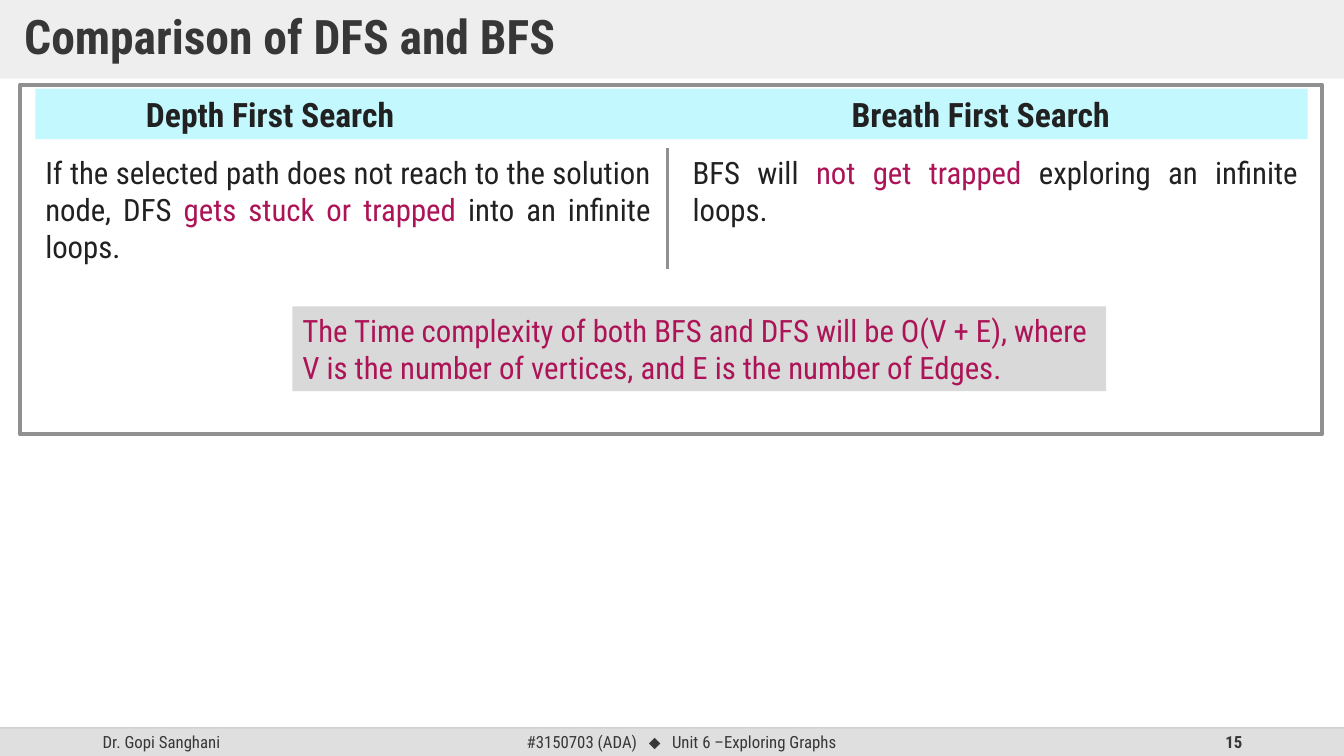
from pptx import Presentation
from pptx.dml.color import RGBColor
from pptx.enum.shapes import MSO_CONNECTOR, MSO_SHAPE
from pptx.enum.text import MSO_ANCHOR, PP_ALIGN
from pptx.oxml.ns import qn
from pptx.util import Inches, Pt
from lxml import etree

RECT = MSO_SHAPE.RECTANGLE
STRAIGHT = MSO_CONNECTOR.STRAIGHT
TOP, MIDDLE = MSO_ANCHOR.TOP, MSO_ANCHOR.MIDDLE
LEFT, CENTER, RIGHT, JUSTIFY = (
    PP_ALIGN.LEFT, PP_ALIGN.CENTER, PP_ALIGN.RIGHT, PP_ALIGN.JUSTIFY)

SLIDE_W, SLIDE_H = 13.33, 7.5
FONT, SYMBOL_FONT = "Roboto Condensed", "Arial"

INK = RGBColor(0x21, 0x21, 0x21)
TITLE_INK = RGBColor(0x37, 0x37, 0x37)
ACCENT = RGBColor(0xAD, 0x14, 0x57)
BAR = RGBColor(0xDF, 0xDF, 0xDF)
BAR_EDGE = RGBColor(0xBF, 0xBF, 0xBF)
FRAME = RGBColor(0x90, 0x90, 0x90)
HEADING_FILL = RGBColor(0xC3, 0xF8, 0xFF)
NOTE_FILL = RGBColor(0xD9, 0xD9, 0xD9)

# Shares of the slide, in percent
BODY_X, BODY_W = 2.63, 94.67
COLUMN_W = 46.51
COLUMN_Y = 19.73
FOOTER_Y, FOOTER_H = 96.27, 3.73


def across(share):
    return Inches(SLIDE_W * share / 100)


def down(share):
    return Inches(SLIDE_H * share / 100)


def area(x, y, width, height):
    return across(x), down(y), across(width), down(height)


def set_alpha(color_parent, percent):
    color = color_parent.find(".//" + qn("a:srgbClr"))
    etree.SubElement(color, qn("a:alpha")).set("val", str(percent * 1000))


def add_panel(slide, box, fill=None, alpha=None, line=None, weight=0):
    panel = slide.shapes.add_shape(RECT, *area(*box))
    panel.shadow.inherit = False
    if fill is None:
        panel.fill.background()
    else:
        panel.fill.solid()
        panel.fill.fore_color.rgb = fill
        if alpha:
            set_alpha(panel.fill._xPr, alpha)
    if line is None:
        panel.line.fill.background()
    else:
        panel.line.color.rgb = line
        panel.line.width = Pt(weight)
    return panel


def add_rule(slide, start, end, color, weight, alpha=None):
    rule = slide.shapes.add_connector(
        STRAIGHT, across(start[0]), down(start[1]), across(end[0]), down(end[1]))
    rule.line.color.rgb = color
    rule.line.width = Pt(weight)
    if alpha:
        set_alpha(rule.line._ln, alpha)
    etree.SubElement(rule._element.spPr, qn("a:effectLst"))


def write(holder, pieces, size, align=LEFT, anchor=TOP, bold=False):
    """Fill a shape with one paragraph of (text, colour) pieces."""
    frame = holder.text_frame
    frame.word_wrap = True
    frame.vertical_anchor = anchor
    paragraph = frame.paragraphs[0]
    paragraph.alignment = align
    for text, color in pieces:
        run = paragraph.add_run()
        run.text = text
        run.font.name = FONT
        run.font.size = Pt(size)
        run.font.bold = bold
        run.font.color.rgb = color
    return paragraph


def add_text(slide, box, pieces, size, **style):
    return write(slide.shapes.add_textbox(*area(*box)), pieces, size, **style)


def set_tabs(paragraph, *stops):
    tabs = etree.SubElement(paragraph._p.get_or_add_pPr(), qn("a:tabLst"))
    for stop in stops:
        tab = etree.SubElement(tabs, qn("a:tab"))
        tab.set("pos", str(across(stop)))
        tab.set("algn", "l")


def add_title(slide, text):
    band = add_panel(slide, (0, 0, 100, 10.4), BAR, alpha=50)
    title = write(band, [(text, TITLE_INK)], 34, anchor=MIDDLE, bold=True)
    title.line_spacing = 0.9
    frame = band.text_frame
    frame.margin_left = frame.margin_right = Inches(0.24)
    frame.margin_top = frame.margin_bottom = Inches(0.12)


def add_footer(slide, author, course, unit, number):
    add_panel(slide, (0, FOOTER_Y, 100, FOOTER_H), BAR)
    topic = [course, " ", "⬥", " ", unit]
    for x, width, texts, align, bold in (
            (6.9, 22.5, [author], LEFT, False),
            (33.16, 35.11, topic, CENTER, False),
            (70.67, 22.5, [number], RIGHT, True)):
        paragraph = add_text(
            slide, (x, FOOTER_Y, width, FOOTER_H),
            [(text, TITLE_INK) for text in texts],
            12, align=align, anchor=MIDDLE, bold=bold)
        for run in paragraph.runs:
            if run.text == "⬥":
                run.font.name = SYMBOL_FONT
            elif run.text == " ":
                run.font._element.set("spc", "550")  # widens the gap
    add_rule(slide, (0, FOOTER_Y), (100, FOOTER_Y), BAR_EDGE, 1, alpha=70)


def add_comparison(slide):
    add_panel(slide, (1.5, 11.2, 96.85, 46.27), line=FRAME, weight=3)

    # Headings of both columns
    headings = write(
        add_panel(slide, (BODY_X, 11.73, BODY_W, 6.67), HEADING_FILL),
        [("\tDepth First Search\tBreath First Search", INK)], 24, bold=True)
    set_tabs(headings, 7.5, 60)

    # Columns and the divider between them
    depth = [
        ("If the selected path does not reach to the solution node, DFS ", INK),
        ("gets stuck or trapped ", ACCENT),
        ("into an infinite loops.", INK)]
    breadth = [
        ("BFS will ", INK),
        ("not get trapped ", ACCENT),
        ("exploring an infinite loops.", INK)]
    breadth_x = BODY_X + BODY_W - COLUMN_W
    for x, height, pieces in ((BODY_X, 16.13, depth), (breadth_x, 11.2, breadth)):
        add_text(slide, (x, COLUMN_Y, COLUMN_W, height), pieces, 22, align=JUSTIFY)
    add_rule(slide, (49.66, 19.6), (49.66, 35.6), FRAME, 2.25)

    # Shared time complexity
    complexity = add_panel(slide, (21.76, 40.53, 60.54, 11.2), NOTE_FILL)
    write(complexity, [(
        "The Time complexity of both BFS and DFS will be O(V + E), where "
        "V is the number of vertices, and E is the number of Edges.", ACCENT)], 22)


def main():
    deck = Presentation()
    deck.slide_width, deck.slide_height = Inches(SLIDE_W), Inches(SLIDE_H)
    slide = deck.slides.add_slide(deck.slide_layouts[6])
    add_footer(slide, "Dr. Gopi Sanghani", "#3150703 (ADA)",
               "Unit 6 –Exploring Graphs", "15")
    add_title(slide, "Comparison of DFS and BFS")
    add_comparison(slide)
    deck.save("out.pptx")


if __name__ == "__main__":
    main()
